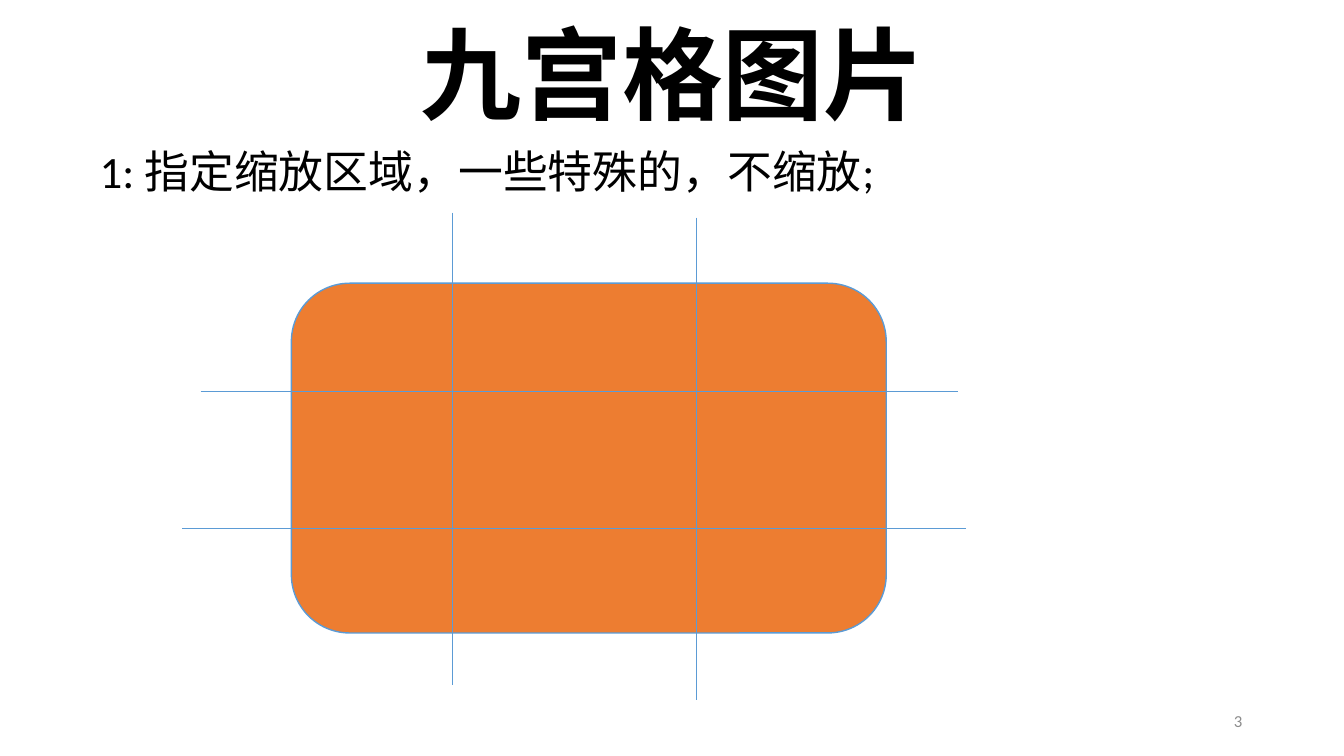
from pptx import Presentation
from pptx import util as u
from pptx.dml.color import RGBColor
from pptx.enum import shapes, text
from pptx.oxml import ns
from lxml import etree


def rgb(value):
    return RGBColor.from_string(value)


def write(sp, box, content, size, color, align, anchor, bold=False, wrap=True):
    sp.left, sp.top, sp.width, sp.height = [u.Inches(v) for v in box]
    tf = sp.text_frame
    tf.auto_size = text.MSO_AUTO_SIZE.NONE
    tf.word_wrap = wrap
    tf.vertical_anchor = anchor
    p = tf.paragraphs[0]
    p.alignment = align
    r = p.add_run()
    r.text = content
    r.font.name = "Calibri"
    r.font.size = u.Pt(size)
    r.font.bold = bold
    r.font.color.rgb = rgb(color)


BLUE = "5B9BD5"
ORANGE = "ED7D31"
TOP, MIDDLE = text.MSO_ANCHOR.TOP, text.MSO_ANCHOR.MIDDLE
ALIGN = text.PP_ALIGN

prs = Presentation()
prs.slide_width = u.Inches(13.33)
prs.slide_height = u.Inches(7.5)
s = prs.slides.add_slide(prs.slide_layouts[5])

write(s.shapes.title, (4.06, 0.07, 5.22, 1.3), "九宫格图片", 72, "000000",
      ALIGN.CENTER, TOP, bold=True, wrap=False)

labels = [
    ((9.42, 6.95, 3, 0.4), "3", 12, "8C8C8C", ALIGN.RIGHT, MIDDLE),
    ((0.89, 1.38, 11.3, 1.17), "1: 指定缩放区域，一些特殊的，不缩放;", 32, "000000",
     ALIGN.LEFT, TOP),
]
for label in labels:
    write(s.shapes.add_textbox(0, 0, 0, 0), *label)

panel = s.shapes.add_shape(shapes.MSO_SHAPE.ROUNDED_RECTANGLE, u.Inches(2.89),
                           u.Inches(2.81), u.Inches(5.9), u.Inches(3.47))
panel.shadow.inherit = False
panel.fill.solid()
panel.fill.fore_color.rgb = rgb(ORANGE)
panel.line.color.rgb = rgb(BLUE)
panel.line.width = u.Pt(1)

grid_lines = [
    (4.49, 2.11, 4.49, 6.8),
    (6.91, 2.16, 6.91, 6.94),
    (1.99, 3.88, 9.5, 3.88),
    (1.81, 5.24, 9.58, 5.24),
]
for ends in grid_lines:
    line = s.shapes.add_connector(shapes.MSO_CONNECTOR.STRAIGHT,
                                  *[u.Inches(v) for v in ends])
    line.line.color.rgb = rgb(BLUE)
    line.line.width = u.Pt(0.5)
    etree.SubElement(line._element.spPr, ns.qn("a:effectLst"))

prs.save("out.pptx")
